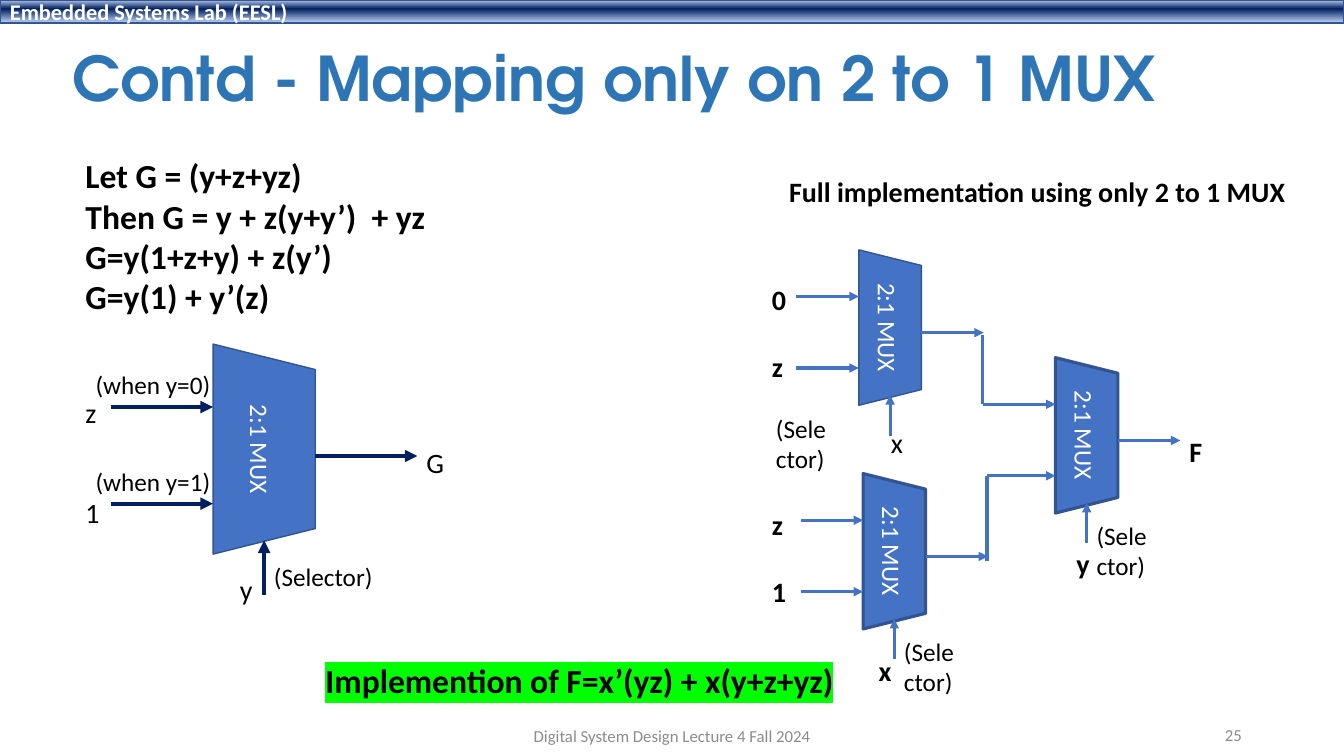
from copy import deepcopy

from lxml.etree import SubElement
from pptx import Presentation
from pptx.dml.color import RGBColor
from pptx.enum.shapes import MSO_CONNECTOR, MSO_SHAPE
from pptx.enum.text import MSO_ANCHOR, MSO_AUTO_SIZE, PP_ALIGN
from pptx.oxml.ns import qn
from pptx.util import Pt

BLUE, EDGE, NAVY, GREY = "4472C4", "325491", "002060", "8C8C8C"
BLACK, WHITE = "000000", "FFFFFF"

# Pin offsets from the multiplexer centre, as shares of its height
INPUT_PINS = (-0.2, 0.26)
OUTPUT_PIN = 0.033
SELECT_FROM, SELECT_TO = 0.695, 0.435


def color(hex_string):
    return RGBColor.from_string(hex_string)


def write(frame, content, size=20, font="Calibri", ink=BLACK, bold=False,
          align=PP_ALIGN.LEFT, anchor=MSO_ANCHOR.TOP, spacing=None,
          highlight=None):
    """Fill a text frame, one paragraph for each line of content."""
    frame.vertical_anchor = anchor
    for index, line in enumerate(content.split("\n")):
        paragraph = frame.add_paragraph() if index else frame.paragraphs[0]
        paragraph.alignment = align
        if spacing:
            paragraph.line_spacing = spacing
        run = paragraph.add_run()
        run.text = line
        run.font.size = Pt(size)
        run.font.name = font
        run.font.bold = bold
        run.font.color.rgb = color(ink)
        if highlight:
            marker = run.font._element.makeelement(qn("a:highlight"), {})
            SubElement(marker, qn("a:srgbClr"), val=highlight)
            run.font._element.find(qn("a:solidFill")).addnext(marker)


def label(slide, content, left, top, width, height, wrap=False, **style):
    box = slide.shapes.add_textbox(Pt(left), Pt(top), Pt(width), Pt(height))
    box.text_frame.word_wrap = wrap
    box.text_frame.auto_size = (
        MSO_AUTO_SIZE.NONE if wrap else MSO_AUTO_SIZE.SHAPE_TO_FIT_TEXT)
    write(box.text_frame, content, **style)


def wire(slide, start, end, ink=BLUE, weight=2.25, arrow=True):
    line = slide.shapes.add_connector(
        MSO_CONNECTOR.STRAIGHT, Pt(start[0]), Pt(start[1]), Pt(end[0]), Pt(end[1]))
    line.line.color.rgb = color(ink)
    line.line.width = Pt(weight)
    if arrow:
        SubElement(line.line._get_or_add_ln(), qn("a:tailEnd"), type="triangle")
    SubElement(line._element.spPr, qn("a:effectLst"))


def mux(slide, x, y, width=44.6, height=111, edge=2.25, sources=None, **wiring):
    """Draw a multiplexer centred on (x, y) with its four arrows."""
    body = slide.shapes.add_shape(
        MSO_SHAPE.TRAPEZOID, Pt(x - height / 2), Pt(y - width / 2),
        Pt(height), Pt(width))
    body.rotation = 90
    body.shadow.inherit = False
    body.fill.solid()
    body.fill.fore_color.rgb = color(BLUE)
    body.line.color.rgb = color(EDGE)
    body.line.width = Pt(edge)
    write(body.text_frame, "2:1 MUX", size=18, ink=WHITE,
          align=PP_ALIGN.CENTER, anchor=MSO_ANCHOR.MIDDLE)

    left, right = x - width / 2, x + width / 2
    for pin, source in zip(INPUT_PINS, sources or (left - width,) * 2):
        pin_y = y + pin * height
        wire(slide, (source, pin_y), (left, pin_y), **wiring)
    out_y = y + OUTPUT_PIN * height
    wire(slide, (right, out_y), (right + width, out_y), **wiring)
    wire(slide, (x, y + SELECT_FROM * height), (x, y + SELECT_TO * height), **wiring)


def header(slide, width):
    bar = slide.shapes.add_shape(MSO_SHAPE.RECTANGLE, 0, 0, width, Pt(16.6))
    bar.shadow.inherit = False
    bar.line.color.rgb = color(EDGE)
    bar.line.width = Pt(1)

    # Opaque gradient from light through navy to light, top to bottom
    bar.fill.gradient()
    bar.fill.gradient_angle = 270
    first_stop = bar._element.spPr.find(qn("a:gradFill")).find(qn("a:gsLst"))[0]
    first_stop.addnext(deepcopy(first_stop))
    shades = ((0.02, "ABC0E4"), (0.38, NAVY), (0.93, "ACC1E5"))
    for stop, (position, shade) in zip(bar.fill.gradient_stops, shades):
        stop.position = position
        stop.color.rgb = color(shade)

    write(bar.text_frame, "Embedded Systems Lab (EESL)", size=16, ink=WHITE,
          bold=True, anchor=MSO_ANCHOR.MIDDLE)


def single_mux(slide):
    mux(slide, 188.7, 320.8, width=73, height=150, edge=1, ink=NAVY, weight=3)
    for name, left, top in (("z", 54, 278.6), ("1", 54, 350.6),
                            ("y", 164.2, 405.4), ("G", 297.4, 314.6)):
        label(slide, name, left, top, 25, 31.5)
    for note, left, top, width in (("(when y=0)", 61.2, 260, 98),
                                   ("(when y=1)", 61.2, 329.8, 98),
                                   ("(Selector)", 188.6, 397.4, 85.7)):
        label(slide, note, left, top, width, 29, size=18)


def mux_network(slide):
    upper_bend, lower_bend = 702, 705
    upper_y, lower_y, final_y = 234, 393.8, 311
    mux(slide, 635.8, upper_y, edge=1)
    mux(slide, 638.8, lower_y)
    mux(slide, 776.2, final_y, sources=(upper_bend, lower_bend))

    # Vertical links into the last multiplexer
    upper_pin, lower_pin = (final_y + pin * 111 for pin in INPUT_PINS)
    wire(slide, (upper_bend, 239), (upper_bend, upper_pin), arrow=False)
    wire(slide, (lower_bend, 401), (lower_bend, lower_pin), arrow=False)

    # Signal names
    for name, left, top, bold in (
            ("0", 544.3, 198, True), ("z", 544.3, 246.4, True),
            ("z", 544.3, 358.6, True), ("1", 544.3, 407, True),
            ("x", 629.3, 300.2, False), ("x", 620.6, 463, True),
            ("y", 761.8, 386.6, True), ("F", 842.4, 306.7, True)):
        label(slide, name, left, top, 24, 31.5, bold=bold)
    for left, top in ((547.2, 291.6), (638.6, 450.7), (776.2, 367.9)):
        label(slide, "(Selector)", left, top, 52.6, 50, wrap=True, size=18)


def main():
    deck = Presentation()
    deck.slide_width, deck.slide_height = Pt(960), Pt(540)
    slide = deck.slides.add_slide(deck.slide_layouts[6])

    # Header and title
    header(slide, deck.slide_width)
    label(slide, "Contd - Mapping only on 2 to 1 MUX", 44.6, 6.5, 790, 103.7,
          wrap=True, size=44, font="TeX Gyre Adventor", ink="2E75B6", bold=True,
          anchor=MSO_ANCHOR.MIDDLE, spacing=0.9)

    # Derivation with its multiplexer
    label(slide, "Let G = (y+z+yz)\nThen G = y + z(y+y’)  + yz\n"
          "G=y(1+z+y) + z(y’)\nG=y(1) + y’(z)",
          54, 107.3, 259.2, 123.8, size=24, bold=True)
    single_mux(slide)

    # Full implementation
    label(slide, "Full implementation using only 2 to 1 MUX",
          556.6, 121, 371.5, 31.5, bold=True)
    mux_network(slide)
    label(slide, "Implemention of F=x’(yz) + x(y+z+yz)", 225.4, 468, 380.9, 36,
          size=24, bold=True, highlight="00FF00")

    # Footer
    label(slide, "Digital System Design Lecture 4 Fall 2024", 318.2, 511.2, 324, 28.8,
          wrap=True, size=12, ink=GREY, align=PP_ALIGN.CENTER, anchor=MSO_ANCHOR.MIDDLE)
    label(slide, "25", 678.2, 510.5, 216, 28.8, wrap=True, size=12, ink=GREY,
          align=PP_ALIGN.RIGHT, anchor=MSO_ANCHOR.MIDDLE)
    deck.save("out.pptx")


if __name__ == "__main__":
    main()
